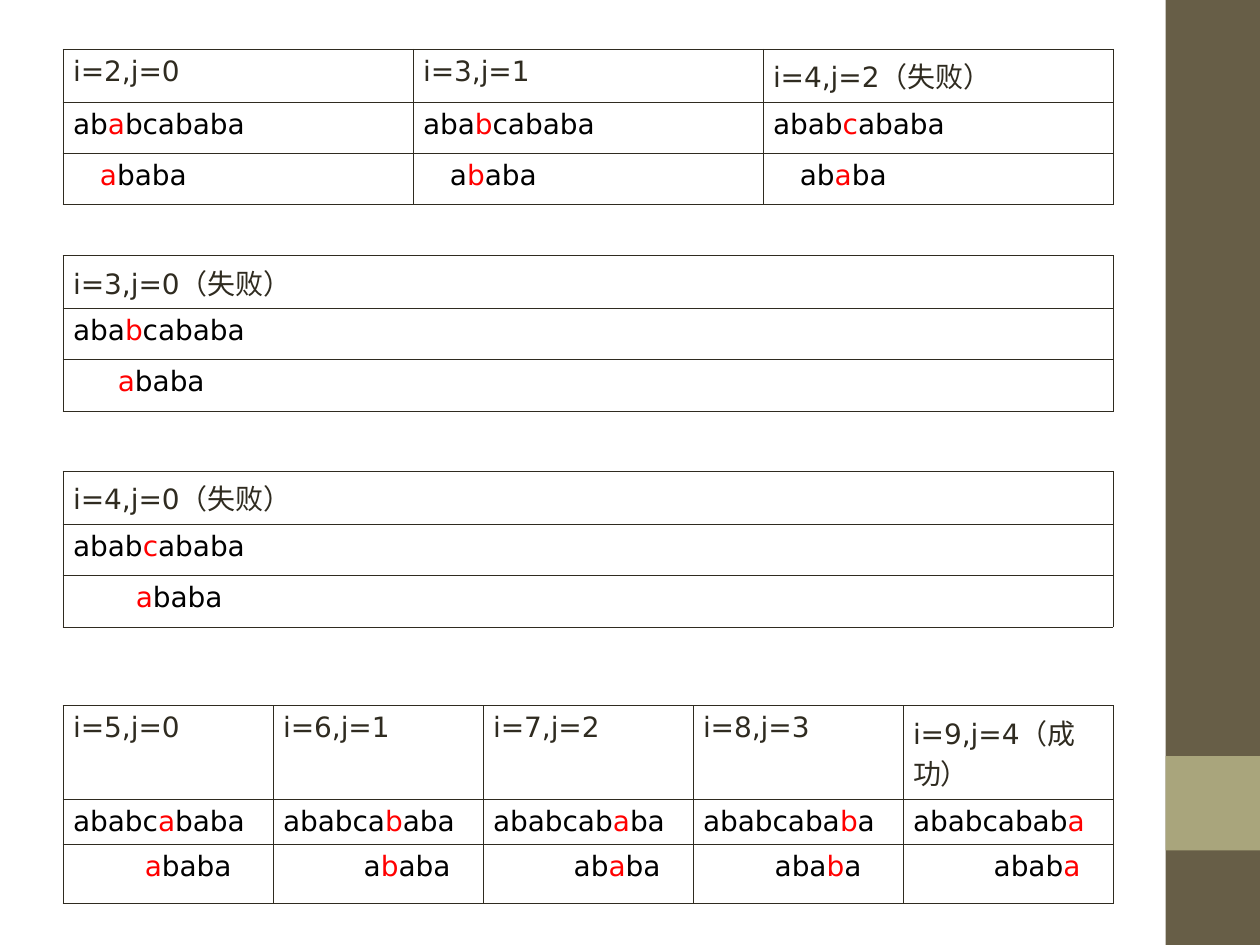
from dataclasses import dataclass

from lxml.etree import SubElement as Sub
from pptx import Presentation
from pptx.dml.color import RGBColor as RGB
from pptx.enum.shapes import MSO_SHAPE as Kind
from pptx.oxml.ns import qn
from pptx.util import Inches, Pt


@dataclass(frozen=True)
class Theme:
    font: str = "DejaVu Sans"
    size: float = 16
    line: float = 0.45
    ink: str = "2F2B20"
    plain: str = "000000"
    mark: str = "FF0000"
    band: str = "675E47"
    tile: str = "A9A57C"


LOOK = Theme()
WIDE, HIGH = Inches(10), Inches(7.5)
COL, ROW = WIDE / 100, HIGH / 100  # grid of 100 columns and 100 rows
SPACE = Pt(0.32 * LOOK.size)  # width of one space
TEXT, WORD = "ababcababa", "ababa"

# Each stage: top row, row heights, steps as (i, j, lead in spaces, result)
EVEN = (5.47, 5.4, 5.47)
STAGES = [
    (5.2, EVEN, [(2, 0, 3, ""), (3, 1, 3, ""), (4, 2, 3, "（失败）")]),
    (27.07, EVEN, [(3, 0, 5, "（失败）")]),
    (49.87, EVEN, [(4, 0, 7, "（失败）")]),
    (74.67, (8.53, 4.8, 6.27), [(5, 0, 8, ""), (6, 1, 9, ""), (7, 2, 9, ""),
                                (8, 3, 8, ""), (9, 4, 9, "（成功）")]),
]


def add_bar(slide, box, color):
    x, y, w, h = box
    bar = slide.shapes.add_shape(Kind.RECTANGLE, int(x), int(y), int(w), int(h))
    bar.shadow.inherit = False
    bar.fill.solid()
    bar.fill.fore_color.rgb = RGB.from_string(color)
    bar.line.fill.background()


def side_band(slide, box):
    x, y, w, h = box
    add_bar(slide, box, LOOK.band)
    add_bar(slide, (x, y + 0.8 * h, w, 0.1 * h), LOOK.tile)


def style_cell(cell):
    cell.margin_left = cell.margin_right = Inches(0.08)
    cell.margin_top = cell.margin_bottom = Inches(0.05)
    props = cell._tc.get_or_add_tcPr()
    for side in ("lnL", "lnR", "lnT", "lnB"):
        line = Sub(props, qn(f"a:{side}"), w=str(Pt(LOOK.line)))
        Sub(Sub(line, qn("a:solidFill")), qn("a:srgbClr"), val=LOOK.ink)
    cell.fill.background()


def write(cell, parts, lead=0):
    para = cell.text_frame.paragraphs[0]
    props = para._p.get_or_add_pPr()
    props.set("marL", str(int(lead * SPACE)))
    props.set("indent", "0")
    for text, color in parts:
        if text:
            run = para.add_run()
            run.text = text
            run.font.name = LOOK.font
            run.font.size = Pt(LOOK.size)
            run.font.color.rgb = RGB.from_string(color)


def marked(text, at):
    """Split the text so that the compared letter stands out."""
    return [(text[:at], LOOK.plain), (text[at], LOOK.mark),
            (text[at + 1:], LOOK.plain)]


def match_table(slide, box, rows, steps):
    x, y, w, h = box
    frame = slide.shapes.add_table(len(rows), len(steps), int(x), int(y),
                                   int(w), int(h))
    table = frame.table
    table.first_row = table.horz_banding = False
    for row, size in zip(table.rows, rows):
        row.height = int(size * ROW)
    for col in table.columns:
        col.width = int(w / len(steps))
    for cell in table.iter_cells():
        style_cell(cell)
    # Step label, searched text, shifted pattern
    for n, (i, j, lead, result) in enumerate(steps):
        write(table.cell(0, n), [(f"i={i},j={j}{result}", LOOK.ink)])
        write(table.cell(1, n), marked(TEXT, i))
        write(table.cell(2, n), marked(WORD, j), lead)


def main():
    deck = Presentation()
    deck.slide_width, deck.slide_height = WIDE, HIGH
    slide = deck.slides.add_slide(deck.slide_layouts[6])
    side_band(slide, (92.5 * COL, 0, 7.5 * COL, HIGH))
    for top, rows, steps in STAGES:
        box = (5 * COL, top * ROW, 83.33 * COL, sum(rows) * ROW)
        match_table(slide, box, rows, steps)
    deck.save("out.pptx")


if __name__ == "__main__":
    main()
